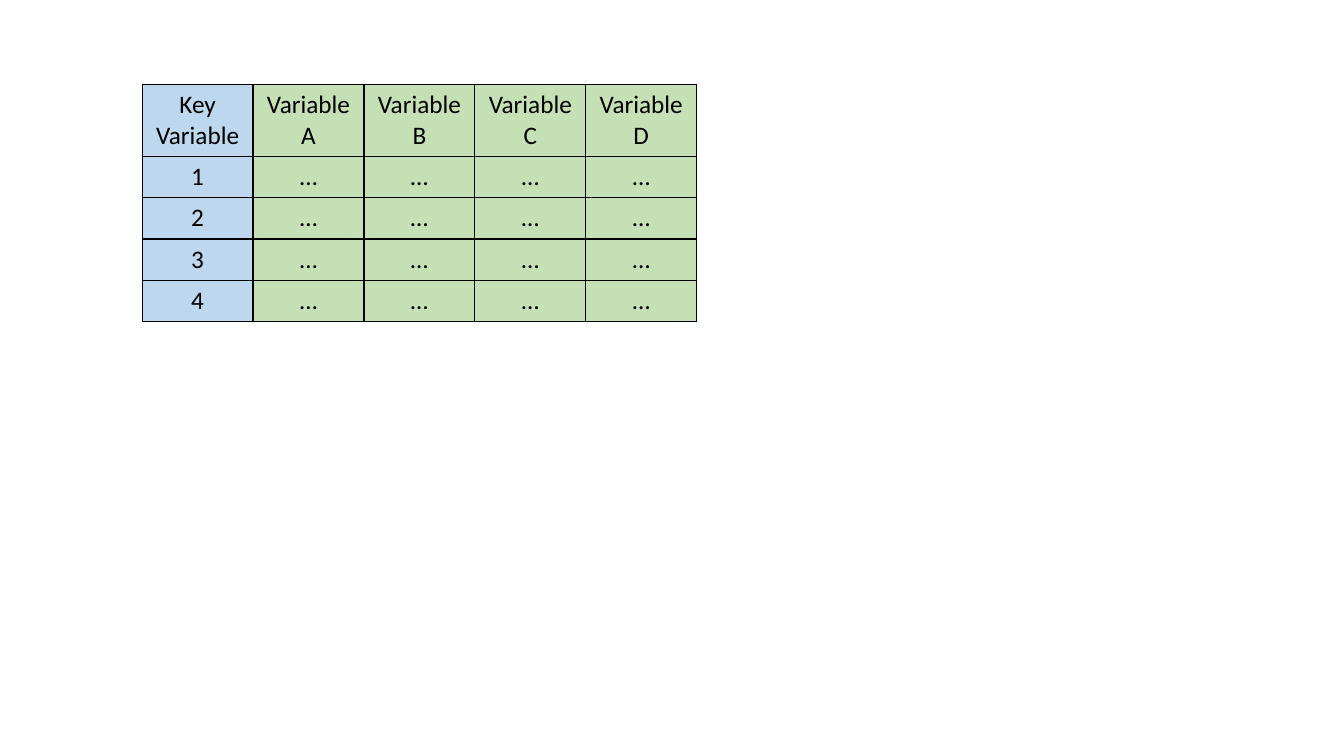
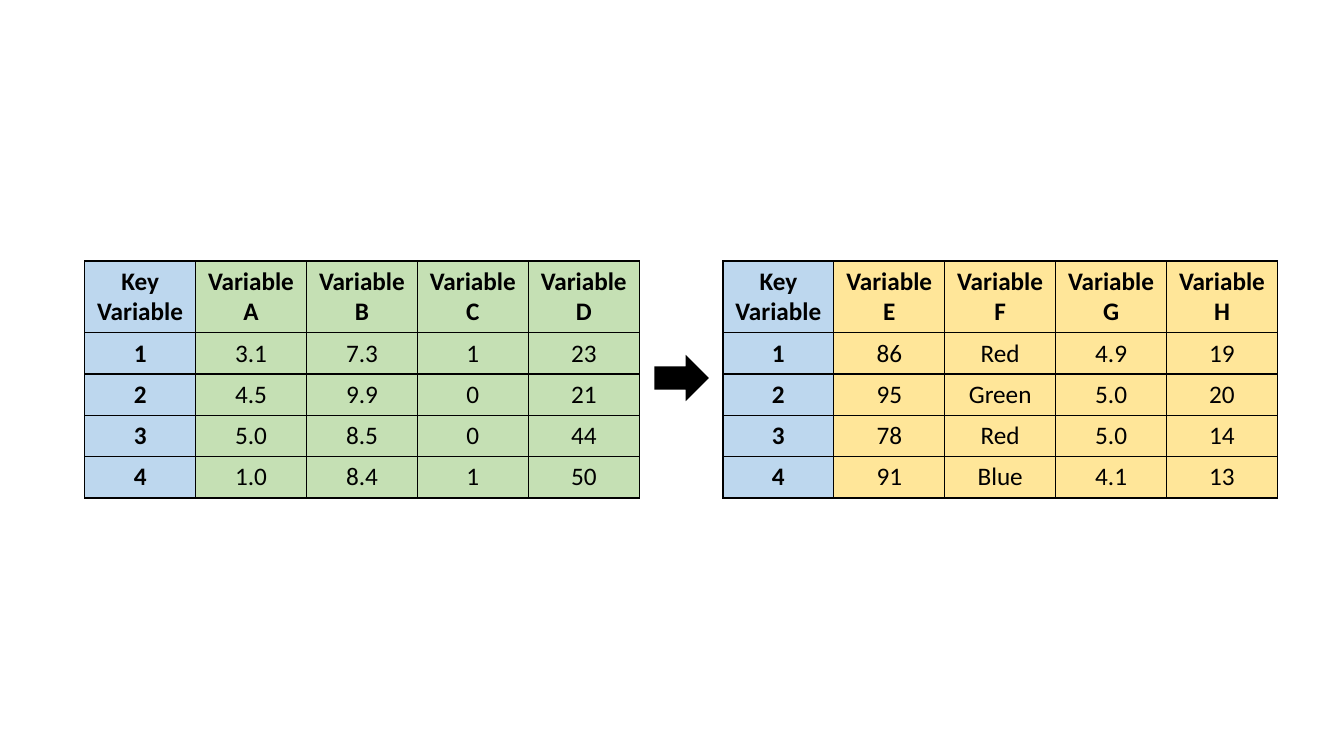
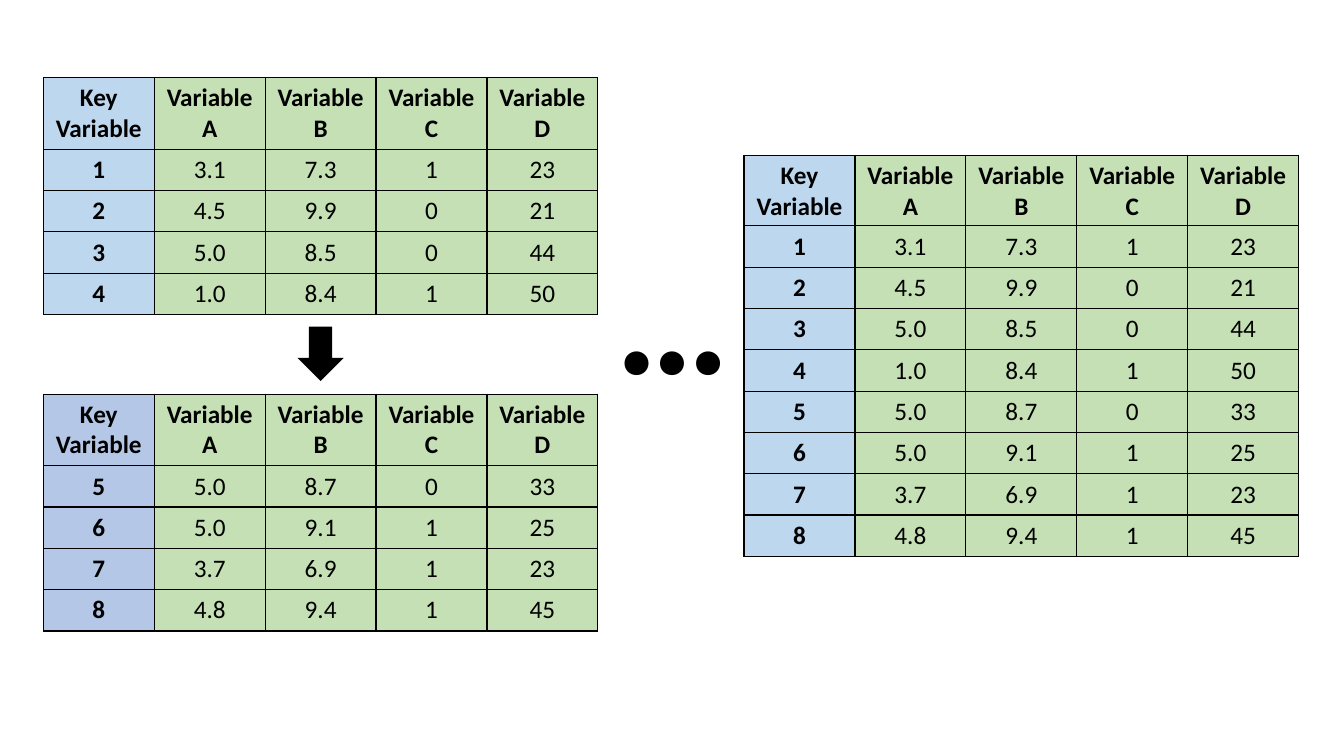
"""Build three slides that show how data tables are keyed, joined and stacked."""
import lxml.etree
import pptx
import pptx.dml.color
import pptx.enum.shapes
import pptx.enum.text
import pptx.oxml.ns
import pptx.util

Inches = pptx.util.Inches
COLORS = {
    "black": "000000",
    "key": "BDD7EE",
    "second key": "B4C7E7",
    "green": "C5E0B4",
    "yellow": "FFE699",
}
HEADER = ["Key Variable", "Variable A", "Variable B", "Variable C", "Variable D"]
JOINED_HEADER = ["Key Variable", "Variable E", "Variable F", "Variable G", "Variable H"]
EMPTY_ROWS = [[str(key)] + ["…"] * 4 for key in range(1, 5)]
FIRST_ROWS = [
    ["1", "3.1", "7.3", "1", "23"],
    ["2", "4.5", "9.9", "0", "21"],
    ["3", "5.0", "8.5", "0", "44"],
    ["4", "1.0", "8.4", "1", "50"],
]
SECOND_ROWS = [
    ["5", "5.0", "8.7", "0", "33"],
    ["6", "5.0", "9.1", "1", "25"],
    ["7", "3.7", "6.9", "1", "23"],
    ["8", "4.8", "9.4", "1", "45"],
]
JOINED_ROWS = [
    ["1", "86", "Red", "4.9", "19"],
    ["2", "95", "Green", "5.0", "20"],
    ["3", "78", "Red", "5.0", "14"],
    ["4", "91", "Blue", "4.1", "13"],
]


def rgb(name):
    """Return the named colour."""
    return pptx.dml.color.RGBColor.from_string(COLORS[name])


def write_text(frame, text, size=18, bold=False, color="black"):
    """Write one centred, formatted paragraph into a text frame."""
    paragraph = frame.paragraphs[0]
    paragraph.alignment = pptx.enum.text.PP_ALIGN.CENTER
    run = paragraph.add_run()
    run.text = text
    run.font.name = "Calibri"
    run.font.size = pptx.util.Pt(size)
    run.font.bold = bold
    run.font.color.rgb = rgb(color)


class Deck:
    """Hold the shared style and the current slide."""

    column_width = Inches(1.1)
    header_height = Inches(0.7)
    row_height = Inches(0.41)
    border_width = pptx.util.Pt(1)

    def __init__(self):
        """Start a widescreen presentation."""
        self.presentation = pptx.Presentation()
        self.presentation.slide_width = Inches(13.33)
        self.presentation.slide_height = Inches(7.5)
        self.slide = None

    def add_slide(self):
        """Add a blank slide and make it current."""
        self.slide = self.presentation.slides.add_slide(self.presentation.slide_layouts[6])

    def add_borders(self, cell):
        """Draw a thin black line on all four sides of a cell."""
        properties = cell._tc.get_or_add_tcPr()
        for position, side in enumerate(("a:lnL", "a:lnR", "a:lnT", "a:lnB")):
            line = lxml.etree.Element(pptx.oxml.ns.qn(side), w=str(self.border_width))
            fill = lxml.etree.SubElement(line, pptx.oxml.ns.qn("a:solidFill"))
            lxml.etree.SubElement(fill, pptx.oxml.ns.qn("a:srgbClr"), val=COLORS["black"])
            properties.insert(position, line)

    def add_table(self, left, top, header, rows, key_fill="key", fill="green", bold=True):
        """Add a data table with a coloured key column."""
        height = self.header_height + self.row_height * len(rows)
        table = self.slide.shapes.add_table(
            len(rows) + 1, len(header), Inches(left), Inches(top),
            self.column_width * len(header), height).table
        table.first_row = False
        table.horz_banding = False
        for row_index, values in enumerate([header] + rows):
            is_header = row_index == 0
            table.rows[row_index].height = self.header_height if is_header else self.row_height
            for column_index, value in enumerate(values):
                is_key = column_index == 0
                cell = table.cell(row_index, column_index)
                cell.vertical_anchor = pptx.enum.text.MSO_ANCHOR.MIDDLE
                cell.fill.solid()
                cell.fill.fore_color.rgb = rgb(key_fill if is_key else fill)
                self.add_borders(cell)
                write_text(cell.text_frame, value, bold=bold and (is_header or is_key))

    def add_arrow(self, left, top, rotation=0):
        """Add a black block arrow that points down before rotation."""
        arrow = self.slide.shapes.add_shape(
            pptx.enum.shapes.MSO_SHAPE.DOWN_ARROW,
            Inches(left), Inches(top), Inches(0.46), Inches(0.54))
        arrow.rotation = rotation
        arrow.shadow.inherit = False
        arrow.fill.solid()
        arrow.fill.fore_color.rgb = rgb("black")
        arrow.line.fill.background()

    def add_text(self, left, top, width, height, text, **text_format):
        """Add a text box that grows with its text."""
        box = self.slide.shapes.add_textbox(
            Inches(left), Inches(top), Inches(width), Inches(height))
        box.text_frame.word_wrap = False
        box.text_frame.auto_size = pptx.enum.text.MSO_AUTO_SIZE.SHAPE_TO_FIT_TEXT
        write_text(box.text_frame, text, **text_format)


deck = Deck()

deck.add_slide()
deck.add_table(1.41, 0.84, HEADER, EMPTY_ROWS, bold=False)

deck.add_slide()
deck.add_table(0.84, 2.59, HEADER, FIRST_ROWS)
deck.add_arrow(6.53, 3.48, rotation=270)
deck.add_table(7.17, 2.59, JOINED_HEADER, JOINED_ROWS, fill="yellow")

deck.add_slide()
deck.add_table(0.43, 0.77, HEADER, FIRST_ROWS)
deck.add_table(0.43, 3.91, HEADER, SECOND_ROWS, key_fill="second key")
deck.add_arrow(2.95, 3.24)
deck.add_text(6.01, 2.07, 1.28, 2.04, "…", size=115, bold=True)
deck.add_table(7.38, 1.54, HEADER, FIRST_ROWS + SECOND_ROWS)

deck.presentation.save("out.pptx")
